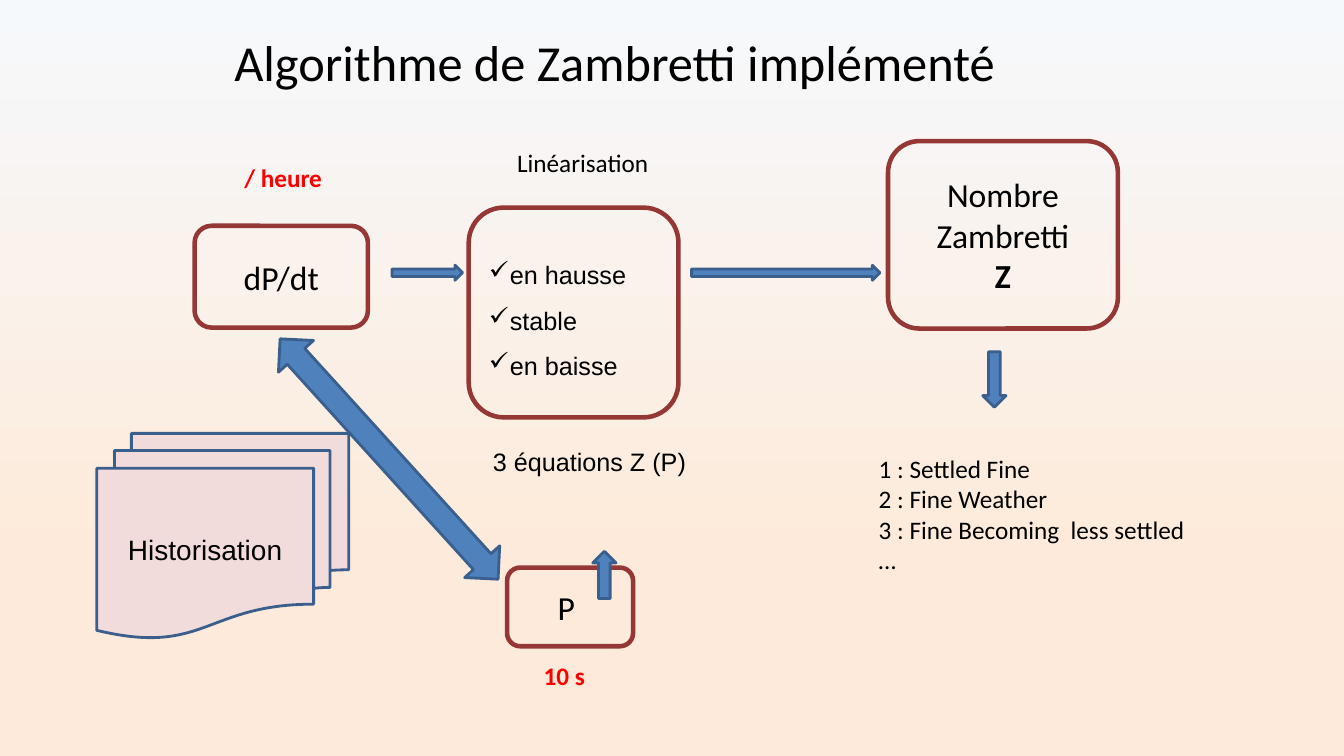
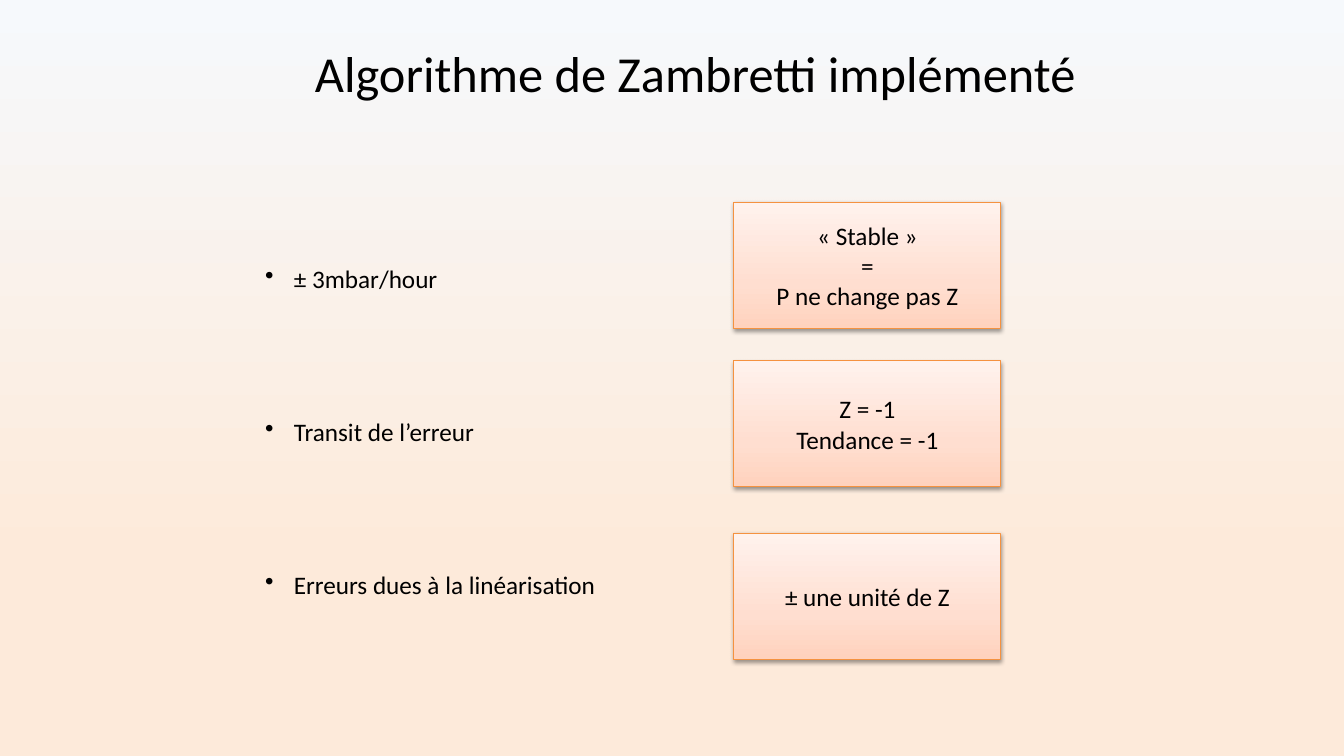
"""Build two slides on the Zambretti forecasting algorithm."""
import lxml.etree
import pptx
import pptx.dml.color
import pptx.enum.shapes
import pptx.enum.text
import pptx.oxml.ns
import pptx.util

Pt = pptx.util.Pt
qn = pptx.oxml.ns.qn
Kind = pptx.enum.shapes.MSO_SHAPE
Align = pptx.enum.text.PP_ALIGN
Anchor = pptx.enum.text.MSO_ANCHOR

HUES = {
    "text": "000000",
    "alert": "FF0000",
    "frame": "953735",
    "arrow": "4F81BD",
    "edge": "3A5F8C",
    "paper": "F2DCDB",
    "rim": "F59240",
}
SKY = [(0, "F6F9FC"), (74, "FDEADA"), (100, "FDEADA")]
PEACH = [(0, "FFF2ED"), (65, "FFDED0"), (100, "FFD2BD")]


def tint(name):
    return pptx.dml.color.RGBColor.from_string(HUES[name])


def node(base, tag, **attrs):
    return lxml.etree.SubElement(base, qn(tag), attrs)


def shade(item, fill, stops):
    fill.gradient()
    fill.gradient_angle = 270
    ramp = item.element.find(".//" + qn("a:gsLst"))
    for old in list(ramp):
        ramp.remove(old)
    for spot, code in stops:
        stop = node(ramp, "a:gs", pos=str(spot * 1000))
        node(stop, "a:srgbClr", val=code)


def write(shape, lines, size=18, face="Calibri", hue="text", bold=False,
          align=Align.CENTER, anchor=Anchor.MIDDLE, lead=None):
    frame = shape.text_frame
    frame.word_wrap = True
    frame.vertical_anchor = anchor
    for count, line in enumerate(lines):
        para = frame.add_paragraph() if count else frame.paragraphs[0]
        para.alignment = align
        para.line_spacing = lead
        run = para.add_run()
        run.text = line
        font = run.font
        font.size, font.name, font.bold = Pt(size), face, bold
        font.color.rgb = tint(hue)
    return frame.paragraphs


def mark(paras, sign, gap):
    for para in paras:
        props = para._p.get_or_add_pPr()
        props.set("marL", str(Pt(gap)))
        props.set("indent", str(-Pt(gap)))
        node(node(props, "a:buClr"), "a:srgbClr", val=HUES["text"])
        node(props, "a:buChar", char=sign)


def label(slide, place, lines, **style):
    box = slide.shapes.add_textbox(*map(Pt, place))
    style.setdefault("anchor", Anchor.TOP)
    return box, write(box, lines, **style)


def form(slide, kind, place, line, width, fill=None):
    shape = slide.shapes.add_shape(kind, *map(Pt, place))
    shape.shadow.inherit = False
    shape.line.color.rgb = tint(line)
    shape.line.width = Pt(width)
    if fill:
        shape.fill.solid()
        shape.fill.fore_color.rgb = tint(fill)
    else:
        shape.fill.background()
    return shape


def block(slide, place, lines, **style):
    shape = form(slide, Kind.ROUNDED_RECTANGLE, place, "frame", 3.25)
    return write(shape, lines, **style)


def arrow(slide, kind, place, turn=0):
    form(slide, kind, place, "edge", 2, "arrow").rotation = turn


def card(slide, top, lines):
    shape = form(slide, Kind.RECTANGLE, (524.2, top, 190.8, 90), "rim", 0.75)
    shade(shape, shape.fill, PEACH)
    glow = node(shape.element.spPr.find(qn("a:effectLst")), "a:outerShdw",
                blurRad=str(Pt(3.1)), dist=str(Pt(1.6)), dir="5400000",
                rotWithShape="0")
    node(node(glow, "a:srgbClr", val=HUES["text"]), "a:alpha", val="38000")
    write(shape, lines)


def start(deck, left, top):
    slide = deck.slides.add_slide(deck.slide_layouts[6])
    shade(slide, slide.background.fill, SKY)
    label(slide, (left, top, 648, 49.7), ["Algorithme de Zambretti implémenté"],
          size=36, lead=0.9, anchor=Anchor.MIDDLE)
    return slide


def flow(deck):
    slide = start(deck, 115.2, 21.6)
    block(slide, (139, 161.3, 123.8, 72.7), ["dP/dt"], size=24)
    block(slide, (362.2, 405.4, 90, 56.2), ["P "], size=24)
    trends = block(slide, (334.8, 148.3, 149.8, 149.8),
                   ["en hausse", "stable", "en baisse"],
                   face="Arial", align=Align.LEFT, lead=1.5)
    mark(trends, "✓", 15)
    result = block(slide, (634.3, 100.8, 164.2, 133.9),
                   ["Nombre", "Zambretti", "Z"], size=24)
    result[-1].runs[0].font.bold = True

    arrow(slide, Kind.RIGHT_ARROW, (280, 189.4, 50.4, 10.8))
    arrow(slide, Kind.RIGHT_ARROW, (494, 189.4, 134.6, 10.8))
    arrow(slide, Kind.DOWN_ARROW, (702, 251.3, 16.6, 39.6))
    arrow(slide, Kind.UP_ARROW, (423.4, 393.8, 16.6, 33.8))
    arrow(slide, Kind.LEFT_RIGHT_ARROW, (162, 311, 231.8, 33.8), 47.8)

    store = form(slide, Kind.FLOWCHART_MULTIDOCUMENT,
                 (69.1, 309.6, 180, 146.2), "edge", 2, "paper")
    write(store, ["Historisation"], size=20, face="Arial")

    label(slide, (148.3, 112.3, 108, 28.8), ["/ heure"], hue="alert", bold=True)
    label(slide, (347, 468, 112.3, 28.8), ["10 s"], hue="alert", bold=True)
    label(slide, (362.2, 101.5, 108, 50.4), ["Linéarisation"])
    label(slide, (344.9, 315.4, 185.8, 28.8), ["3 équations Z (P)"],
          face="Arial", align=Align.LEFT)
    label(slide, (620.6, 320.4, 236.2, 136.8),
          ["1 : Settled Fine", "2 : Fine Weather",
           "3 : Fine Becoming  less settled", "…"], align=Align.LEFT)


def limits(deck):
    slide = start(deck, 172.8, 29.5)
    box, paras = label(slide, (182.2, 140.4, 331.9, 331.2),
                       ["± 3mbar/hour", "Transit de l’erreur",
                        "Erreurs dues à la linéarisation"], align=Align.LEFT)
    box.text_frame.margin_top = Pt(47.6)
    for para in paras[1:]:
        para.space_before = Pt(87.9)
    mark(paras, "•", 20.6)
    card(slide, 144.7, ["«\N{NO-BREAK SPACE}Stable\N{NO-BREAK SPACE}»", "=",
                        "P ne change pas Z"])
    card(slide, 257.8, ["Z = -1", "Tendance = -1"])
    card(slide, 380.9, ["± une unité de Z"])


def main():
    deck = pptx.Presentation()
    deck.slide_width, deck.slide_height = Pt(960), Pt(540)
    flow(deck)
    limits(deck)
    deck.save("out.pptx")


if __name__ == "__main__":
    main()
